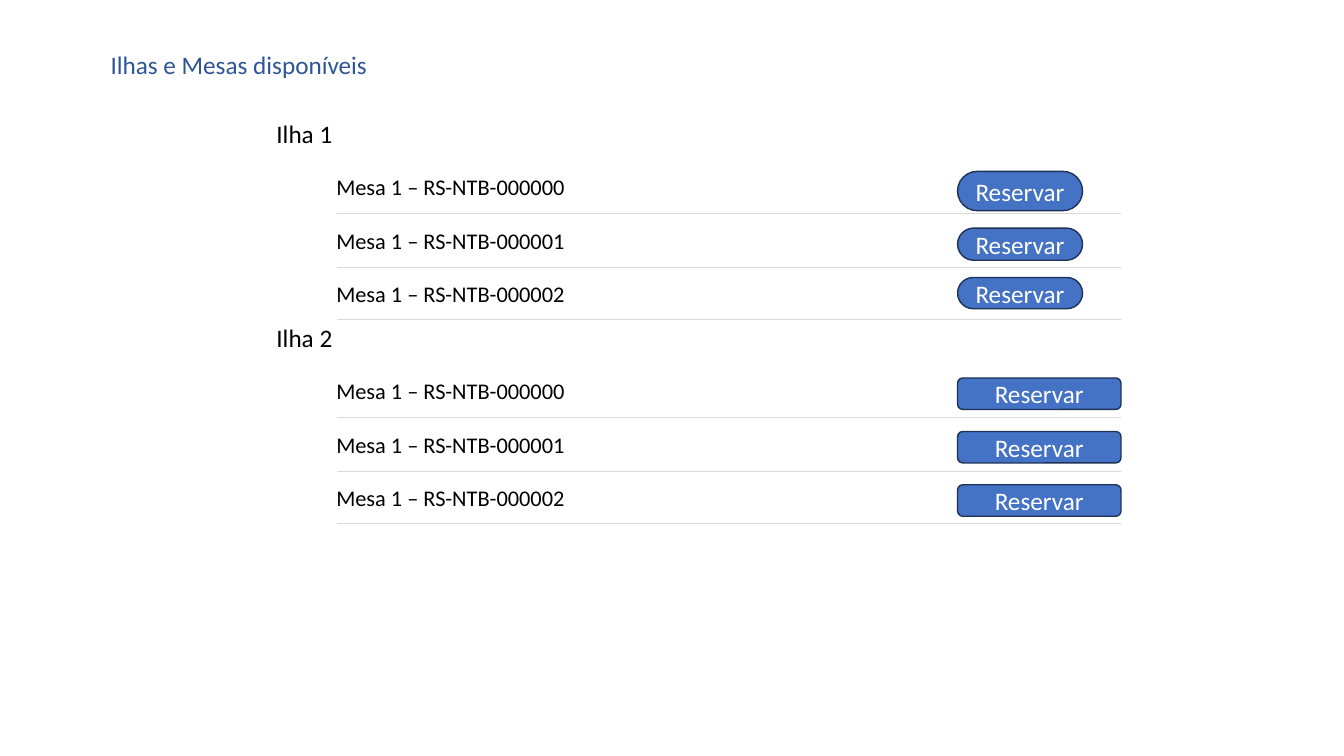
from lxml import etree
from pptx import Presentation
from pptx.dml.color import RGBColor
from pptx.enum.shapes import MSO_CONNECTOR, MSO_SHAPE
from pptx.enum.text import MSO_ANCHOR, MSO_AUTO_SIZE, PP_ALIGN
from pptx.oxml.ns import qn
from pptx.util import Pt

TITLE_BLUE = RGBColor(0x2F, 0x55, 0x97)
BUTTON_BLUE = RGBColor(0x44, 0x72, 0xC4)
BUTTON_EDGE = RGBColor(0x1E, 0x32, 0x56)
RULE_GREY = RGBColor(0xD9, 0xD9, 0xD9)
BLACK = RGBColor(0, 0, 0)
WHITE = RGBColor(0xFF, 0xFF, 0xFF)

ROW_H = 38.2
RULE_LEFT, RULE_RIGHT = 240.6, 800.6
RULE_OFFSETS = (76.3, 114.8, 151.9)  # below the top of the island heading
BUTTON_LEFT = 684

# name, top, button width, corner radius, (button top, button height) per desk
ISLANDS = [
    ("Ilha 1", 76.3, 89.3, 0.5, [(122.4, 28.1), (162.9, 23), (198.2, 22.3)]),
    ("Ilha 2", 221.8, 116.8, 0.1667, [(270, 22.5), (308.2, 22.5), (346.3, 22.5)]),
]


def set_text(sp, text, size, color):
    tf = sp.text_frame
    tf.text = text
    tf.word_wrap = True
    tf.auto_size = MSO_AUTO_SIZE.NONE
    tf.vertical_anchor = MSO_ANCHOR.MIDDLE
    p = tf.paragraphs[0]
    p.alignment = PP_ALIGN.CENTER
    p.font.name = "Calibri"
    p.font.size = Pt(size)
    p.font.color.rgb = color


def add_label(left, top, width, text, size):
    sp = slide.shapes.add_textbox(Pt(left), Pt(top), Pt(width), Pt(ROW_H))
    set_text(sp, text, size, BLACK)


prs = Presentation()
prs.slide_width, prs.slide_height = Pt(960), Pt(540)
slide = prs.slides.add_slide(prs.slide_layouts[5])

title = slide.shapes.title
title.left, title.top, title.width, title.height = Pt(54.7), Pt(26.6), Pt(231.8), Pt(ROW_H)
set_text(title, "Ilhas e Mesas disponíveis", 18, TITLE_BLUE)

for name, top, button_w, radius, buttons in ISLANDS:
    add_label(147.6, top, 139.7, name, 18)
    for i, (button_top, button_h) in enumerate(buttons):
        add_label(217.4, top + (i + 1) * ROW_H, 208.8, f"Mesa 1 – RS-NTB-{i:06d}", 16)

        button = slide.shapes.add_shape(
            MSO_SHAPE.ROUNDED_RECTANGLE,
            Pt(BUTTON_LEFT), Pt(button_top), Pt(button_w), Pt(button_h))
        button.adjustments[0] = radius
        button.shadow.inherit = False
        button.fill.solid()
        button.fill.fore_color.rgb = BUTTON_BLUE
        button.line.color.rgb = BUTTON_EDGE
        button.line.width = Pt(1)
        set_text(button, "Reservar", 18, WHITE)

        y = Pt(top + RULE_OFFSETS[i])
        rule = slide.shapes.add_connector(
            MSO_CONNECTOR.STRAIGHT, Pt(RULE_LEFT), y, Pt(RULE_RIGHT), y)
        rule.line.color.rgb = RULE_GREY
        rule.line.width = Pt(0.5)
        etree.SubElement(rule._element.spPr, qn("a:effectLst"))

prs.save("out.pptx")
